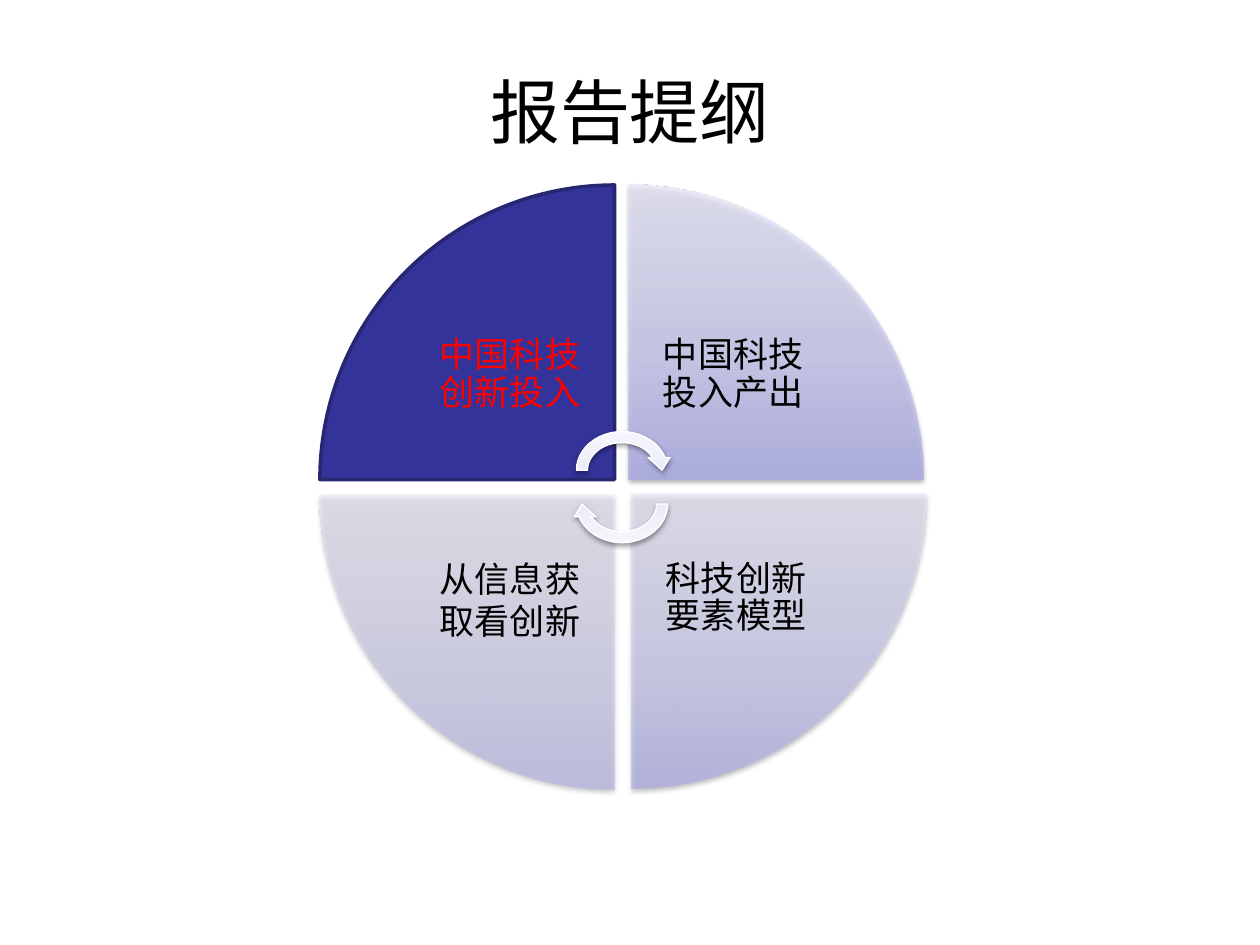
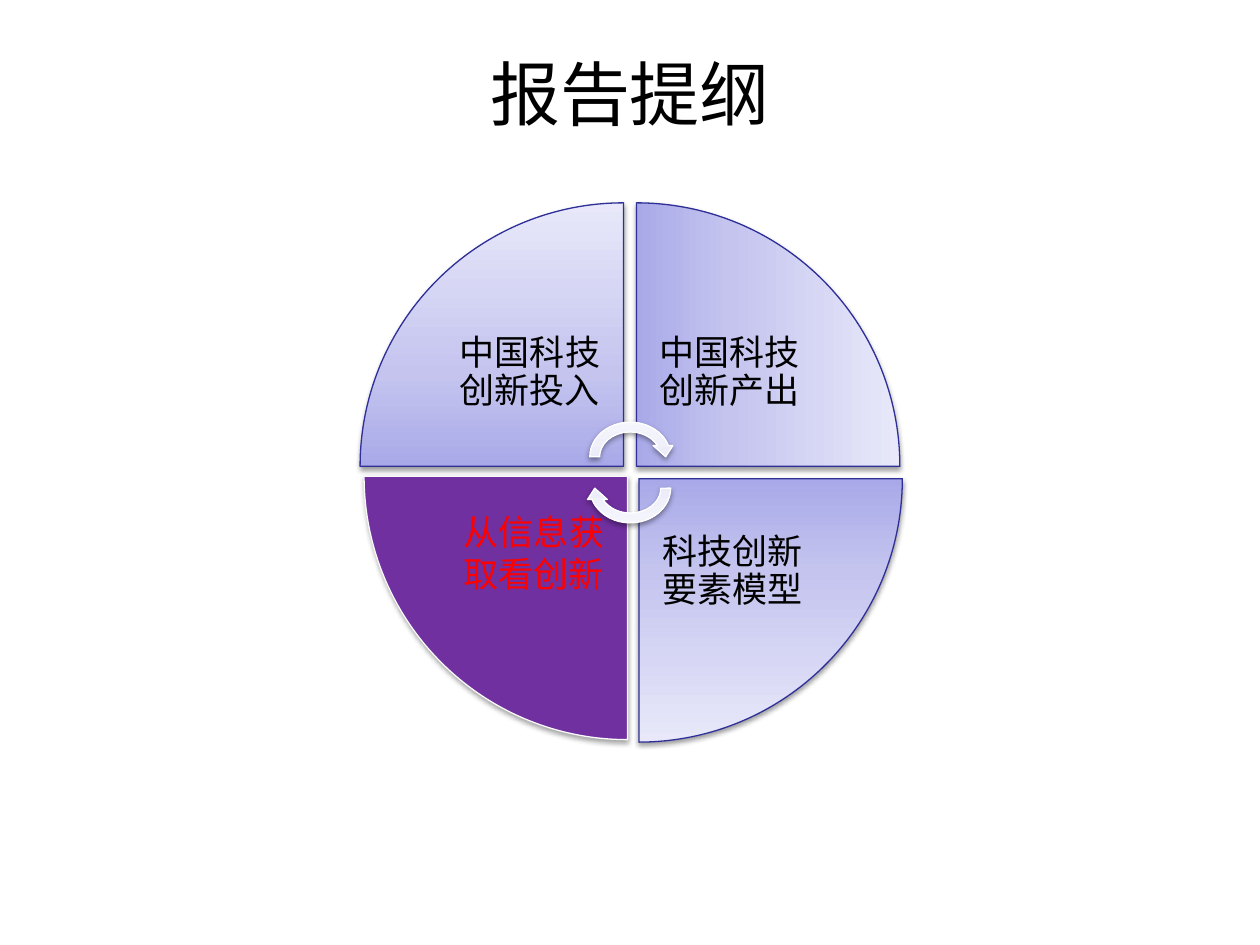
import lxml.etree
import pptx
import pptx.dml.color
import pptx.enum.shapes
import pptx.enum.text
import pptx.oxml.ns
import pptx.util

Cm = pptx.util.Cm
Pt = pptx.util.Pt
RGBColor = pptx.dml.color.RGBColor
Shapes = pptx.enum.shapes.MSO_SHAPE
qn = pptx.oxml.ns.qn

BLACK = RGBColor(0x00, 0x00, 0x00)
WHITE = RGBColor(0xFF, 0xFF, 0xFF)
OFF_WHITE = RGBColor(0xF9, 0xF9, 0xF9)
RED = RGBColor(0xFF, 0x00, 0x00)
INDIGO = RGBColor(0x33, 0x33, 0x99)
DARK_INDIGO = RGBColor(0x26, 0x26, 0x71)
EDGE_INDIGO = RGBColor(0x2F, 0x2F, 0x98)
PURPLE = RGBColor(0x70, 0x30, 0xA0)
LILAC = [(0, RGBColor(0xA9, 0xA9, 0xE9)),
         (35, RGBColor(0xC4, 0xC4, 0xEF)),
         (100, RGBColor(0xE8, 0xE8, 0xFA))]
PALE_LILAC = [(0, RGBColor(0xE1, 0xE1, 0xF6)),
              (35, RGBColor(0xE9, 0xE9, 0xF8)),
              (100, RGBColor(0xF6, 0xF6, 0xFD))]

FONT = "Arial"
TITLE = "报告提纲"
LABEL_RATIO = 0.71  # side of a label relative to its wedge
LABEL_INSET = 0.41

# Lengths are in centimetres. Wedges run clockwise from the top left.
OUTLINES = [
    {
        "title_top": 1.5, "title_height": 1.45,
        "wedge_size": 5.94,
        "gradient_turns": False,
        "wedges": [
            {"text": "中国科技创新投入", "at": (6.45, 3.73), "color": RED, "fill": INDIGO,
             "line": DARK_INDIGO, "line_width": 2, "shadow": 0},
            {"text": "中国科技投入产出", "at": (12.67, 3.73), "opacity": 77},
            {"text": "科技创新要素模型", "at": (12.73, 9.96), "opacity": 63},
            {"text": "从信息获取看创新", "at": (6.45, 9.98), "opacity": 50, "spacing": 1.0},
        ],
        "arrow_left": 11.51, "arrow_size": (2.06, 1.78), "arrow_tops": (8.59, 9.27),
    },
    {
        "title_top": 0.76, "title_height": 2.21,
        "wedge_size": 5.31,
        "gradient_turns": True,
        "wedges": [
            {"text": "中国科技创新投入", "at": (7.26, 4.09), "line": EDGE_INDIGO},
            {"text": "中国科技创新产出", "at": (12.83, 4.09), "line": EDGE_INDIGO},
            {"text": "科技创新要素模型", "at": (12.88, 9.65), "line": EDGE_INDIGO},
            {"text": "从信息获取看创新", "at": (7.34, 9.6), "color": RED, "fill": PURPLE,
             "line": OFF_WHITE, "shadow": 35, "spacing": 1.0, "rise": 0.35},
        ],
        "arrow_left": 11.79, "arrow_size": (1.83, 1.6), "arrow_tops": (8.41, 9.04),
    },
]


def write_text(frame, text, size, color=BLACK, spacing=None, inset=None):
    frame.word_wrap = True
    frame.auto_size = pptx.enum.text.MSO_AUTO_SIZE.NONE
    frame.vertical_anchor = pptx.enum.text.MSO_ANCHOR.MIDDLE
    if inset is not None:
        frame.margin_left = frame.margin_right = Cm(inset)
        frame.margin_top = frame.margin_bottom = Cm(inset)
    paragraph = frame.paragraphs[0]
    paragraph.alignment = pptx.enum.text.PP_ALIGN.CENTER
    if spacing:
        paragraph.line_spacing = spacing
    run = paragraph.add_run()
    run.text = text
    run.font.name = FONT
    run.font.size = Pt(size)
    run.font.color.rgb = color


def add_color(parent, color, opacity):
    element = lxml.etree.SubElement(parent, qn("a:srgbClr"), val=str(color))
    if opacity < 100:
        lxml.etree.SubElement(element, qn("a:alpha"), val=str(opacity * 1000))


def fill_gradient(shape, stops, opacity, turns):
    """Fill from the bottom up; with turns the gradient follows the rotation."""
    shape.fill.background()
    properties = shape._element.spPr
    gradient = lxml.etree.Element(qn("a:gradFill"), rotWithShape=str(int(turns)))
    stop_list = lxml.etree.SubElement(gradient, qn("a:gsLst"))
    for position, color in stops:
        stop = lxml.etree.SubElement(stop_list, qn("a:gs"), pos=str(position * 1000))
        add_color(stop, color, opacity)
    lxml.etree.SubElement(gradient, qn("a:lin"), ang=str(270 * 60000), scaled="0")
    properties.replace(properties.find(qn("a:noFill")), gradient)


def add_shadow(shape, opacity):
    effects = shape._element.spPr.find(qn("a:effectLst"))
    shadow = lxml.etree.SubElement(
        effects, qn("a:outerShdw"), blurRad=str(Pt(3.1)), dist=str(Pt(1.6)),
        dir=str(90 * 60000), rotWithShape="0")
    add_color(shadow, BLACK, opacity)


def add_styled_shape(slide, kind, left, top, width, height, rotation, fill=LILAC,
                     opacity=100, turns=True, line=None, line_width=0.75, shadow=38):
    """Add a shape; fill is one colour or a list of gradient stops."""
    shape = slide.shapes.add_shape(kind, Cm(left), Cm(top), Cm(width), Cm(height))
    shape.rotation = rotation
    if isinstance(fill, list):
        fill_gradient(shape, fill, opacity, turns)
    else:
        shape.fill.solid()
        shape.fill.fore_color.rgb = fill
    if line is None:
        shape.line.fill.background()
    else:
        shape.line.color.rgb = line
        shape.line.width = Pt(line_width)
    shape.shadow.inherit = False
    if shadow:
        add_shadow(shape, shadow)


def add_wedge(slide, index, wedge, size, turns):
    style = dict(wedge)
    text = style.pop("text")
    left, top = style.pop("at")
    color = style.pop("color", BLACK)
    spacing = style.pop("spacing", 0.9)
    rise = style.pop("rise", 0)
    add_styled_shape(slide, Shapes.PIE_WEDGE, left, top, size, size, index * 90,
                     turns=turns, **style)

    label_size = size * LABEL_RATIO
    if index in (0, 3):
        left += size - label_size
    if index in (0, 1):
        top += size - label_size
    label = slide.shapes.add_textbox(Cm(left), Cm(top - rise), Cm(label_size), Cm(label_size))
    write_text(label.text_frame, text, 20, color=color, spacing=spacing, inset=LABEL_INSET)


def add_outline_slide(presentation, outline):
    slide = presentation.slides.add_slide(presentation.slide_layouts[5])
    title = slide.shapes.title
    title.left, title.top = Cm(1.27), Cm(outline["title_top"])
    title.width, title.height = Cm(22.86), Cm(outline["title_height"])
    write_text(title.text_frame, TITLE, 40)
    for index, wedge in enumerate(outline["wedges"]):
        add_wedge(slide, index, wedge, outline["wedge_size"], outline["gradient_turns"])
    for rotation, top in zip((0, 180), outline["arrow_tops"]):
        add_styled_shape(slide, Shapes.CIRCULAR_ARROW, outline["arrow_left"], top,
                         *outline["arrow_size"], rotation, fill=PALE_LILAC, line=WHITE)


def main():
    presentation = pptx.Presentation()
    presentation.slide_width, presentation.slide_height = Cm(25.4), Cm(19.05)
    for outline in OUTLINES:
        add_outline_slide(presentation, outline)
    presentation.save("out.pptx")


if __name__ == "__main__":
    main()
